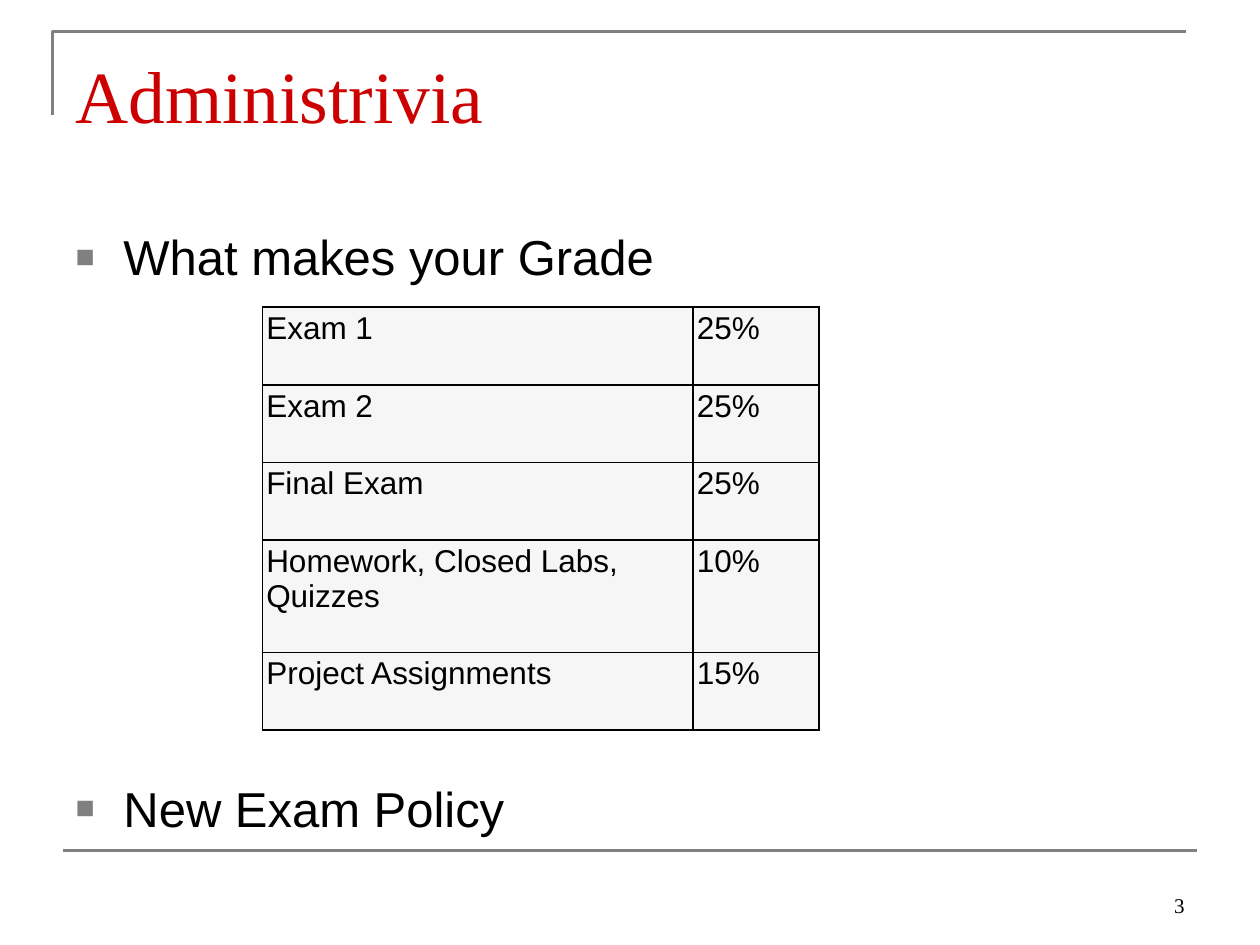
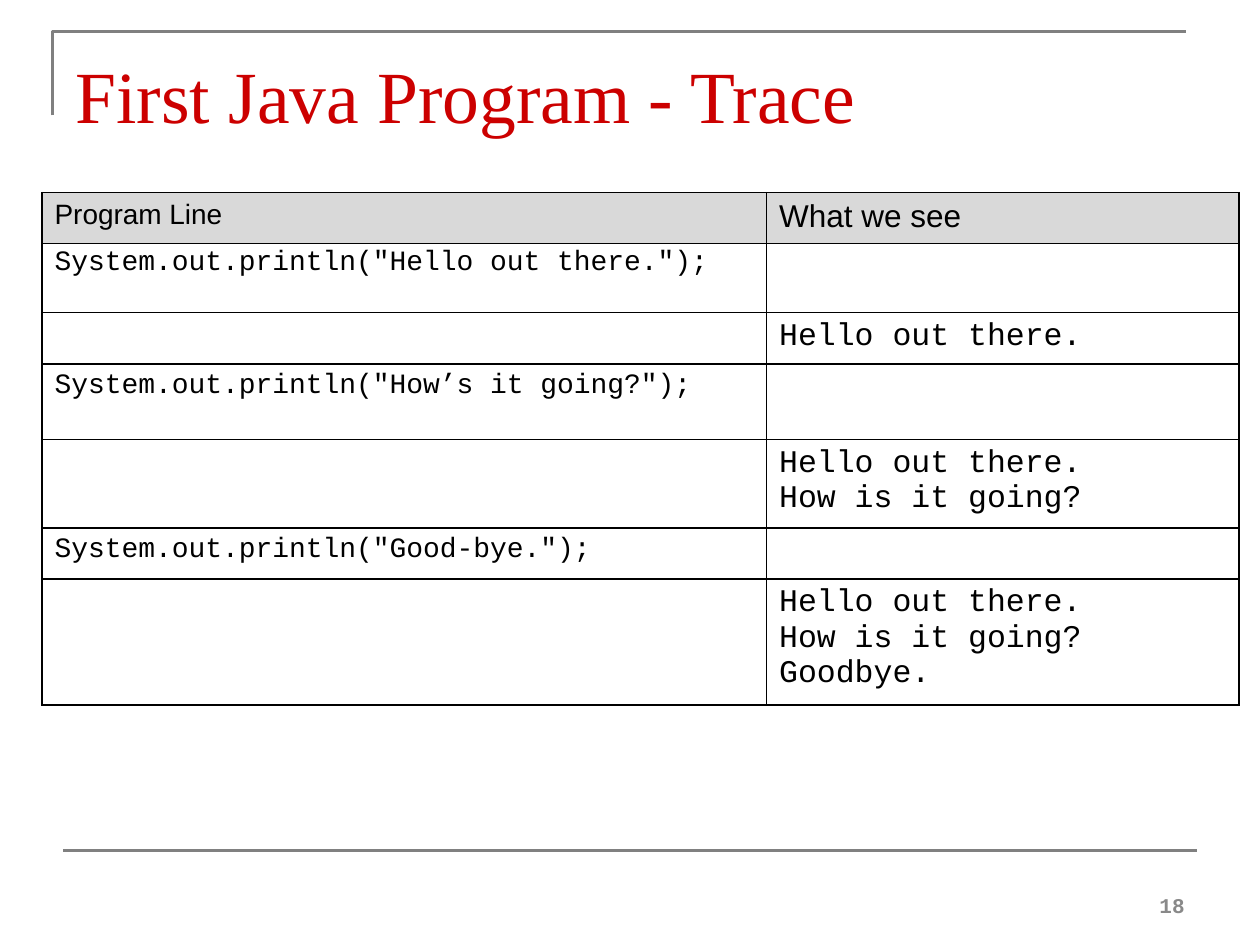
from dataclasses import dataclass

from lxml import etree
from pptx import Presentation
from pptx import util as u
from pptx.dml.color import RGBColor
from pptx.enum import shapes, text
from pptx.oxml import ns

CELL = u.Inches(1) // 12


@dataclass(frozen=True)
class Theme:
    """Colours, fonts and type sizes of the deck."""
    title: str = "CC0000"
    ink: str = "000000"
    rule: str = "808080"
    faded: str = "898989"
    header: str = "D9D9D9"
    panel: str = "F6F6F6"
    paper: str = "FFFFFF"
    serif: str = "Times New Roman"
    sans: str = "Arial"
    mono: str = "Courier New"
    title_size: float = 42
    body_size: float = 28
    table_size: float = 18
    code_size: float = 16
    number_size: float = 12
    rule_width: float = 1.5
    border_width: float = 1


@dataclass(frozen=True)
class Box:
    """An area measured in cells of a 120 by 90 grid."""
    left: float
    top: float
    width: float
    height: float

    def lengths(self):
        """Return left, top, width and height as slide lengths."""
        return [grid(value) for value in (self.left, self.top, self.width, self.height)]


THEME = Theme()
FRAME = Box(5, 3, 108, 8)
TITLE = Box(6, 3.6, 108, 15)
BODY = Box(6, 21, 108, 59.4)
FOOTER = Box(6, 81, 108, 7)
GRADES = Box(25, 29.25, 53, 40.3)
TRACE = Box(4, 18.35, 114, 47.8)


def grid(cells):
    """Turn grid cells into a slide length."""
    return u.Emu(round(cells * CELL))


def style(font, name, size, color=THEME.ink, bold=False):
    """Set the look of a font."""
    font.name, font.size, font.bold = name, u.Pt(size), bold
    font.color.rgb = RGBColor.from_string(color)


def element(parent, tag, **attributes):
    """Append a drawing element."""
    return etree.SubElement(parent, ns.qn(f"a:{tag}"), **attributes)


def draw_rule(line):
    """Give a line the grey of the page rules."""
    line.color.rgb = RGBColor.from_string(THEME.rule)
    line.width = u.Pt(THEME.rule_width)


def place(shape, box):
    """Move a shape to a box."""
    shape.left, shape.top, shape.width, shape.height = box.lengths()


def add_frame(page, box):
    """Draw the corner rule above the title."""
    builder = page.shapes.build_freeform(box.left, box.top + box.height, scale=CELL)
    builder.add_line_segments(
        [(box.left, box.top), (box.left + box.width, box.top)], close=False)
    corner = builder.convert_to_shape()
    corner.fill.background()
    corner.shadow.inherit = False
    draw_rule(corner.line)


def add_footer(page, box, number, **look):
    """Draw the bottom rule and the page number under its right end."""
    left, top, width, height = box.lengths()
    rule = page.shapes.add_connector(
        shapes.MSO_CONNECTOR.STRAIGHT, left, top, left + width, top)
    draw_rule(rule.line)
    element(rule._element.spPr, "effectLst")
    label = page.shapes.add_textbox(
        left + grid(box.width - 28), top + grid(1), grid(28), grid(box.height - 1))
    frame = label.text_frame
    frame.word_wrap = True
    frame.vertical_anchor = text.MSO_ANCHOR.BOTTOM
    para = frame.paragraphs[0]
    para.text = number
    para.alignment = text.PP_ALIGN.RIGHT
    style(para.font, size=THEME.number_size, **look)


def fill_title(page, box, words):
    """Place and format the title placeholder."""
    place(page.shapes.title, box)
    frame = page.shapes.title.text_frame
    frame.text = words
    frame.auto_size = text.MSO_AUTO_SIZE.NONE
    frame.vertical_anchor = text.MSO_ANCHOR.TOP
    frame.margin_top = u.Inches(0.1)
    para = frame.paragraphs[0]
    para.alignment = text.PP_ALIGN.LEFT
    style(para.font, THEME.serif, THEME.title_size, THEME.title)


def fill_body(page, box, items):
    """Fill the body placeholder with bullets and their space before in points."""
    body = page.placeholders[1]
    place(body, box)
    frame = body.text_frame
    frame.text = "\n".join(words for words, _ in items)
    frame.auto_size = text.MSO_AUTO_SIZE.NONE
    for para, (_, gap) in zip(frame.paragraphs, items):
        para.space_before = u.Pt(gap)
        properties = para._p.get_or_add_pPr()
        indent = u.Inches(0.38)
        properties.set("marL", str(indent))
        properties.set("indent", str(-indent))
        element(element(properties, "buClr"), "srgbClr", val=THEME.rule)
        element(properties, "buSzPct", val="65000")
        element(properties, "buFont", typeface=THEME.sans)
        element(properties, "buChar", char="■")
        style(para.font, THEME.sans, THEME.body_size)


def add_borders(cell):
    """Draw a thin line on each side of a cell."""
    properties = cell._tc.get_or_add_tcPr()
    for side in ("lnL", "lnR", "lnT", "lnB"):
        line = element(properties, side, w=str(u.Pt(THEME.border_width)))
        element(element(line, "solidFill"), "srgbClr", val=THEME.ink)


def add_grid_table(page, box, columns, heights, rows, look, margin=None):
    """Add a bordered table; look gives fill, font and size for a row and column."""
    table = page.shapes.add_table(len(rows), len(columns), *box.lengths()).table
    table.first_row = table.horz_banding = False
    for column, width in zip(table.columns, columns):
        column.width = grid(width)
    for r, (height, words) in enumerate(zip(heights, rows)):
        table.rows[r].height = grid(height)
        for c, content in enumerate(words):
            cell = table.cell(r, c)
            cell.text = content
            add_borders(cell)
            fill, font, size = look(r, c)
            cell.fill.solid()
            cell.fill.fore_color.rgb = RGBColor.from_string(fill)
            if margin is not None:
                cell.margin_left = cell.margin_right = margin
                cell.margin_top = cell.margin_bottom = margin
            for para in cell.text_frame.paragraphs:
                style(para.font, font, size)
    return table


def grade_look(row, column):
    """Return the look of a grade cell."""
    return THEME.panel, THEME.sans, THEME.table_size


def trace_look(row, column):
    """Return the look of a trace cell."""
    size = THEME.table_size if column else THEME.code_size
    if row == 0:
        return THEME.header, THEME.sans, size
    return THEME.paper, THEME.mono, size


def add_page(deck, layout, title):
    """Add a slide with the shared frame and title."""
    page = deck.slides.add_slide(deck.slide_layouts[layout])
    add_frame(page, FRAME)
    fill_title(page, TITLE, title)
    return page


def add_grades_page(deck):
    """Build the slide on grading."""
    page = add_page(deck, 1, "Administrivia")
    fill_body(page, BODY, [("What makes your Grade", 5), ("New Exam Policy", 281.5)])
    add_footer(page, FOOTER, "3", name=THEME.serif)
    rows = [
        ("Exam 1", "25%"),
        ("Exam 2", "25%"),
        ("Final Exam", "25%"),
        ("Homework, Closed Labs, Quizzes", "10%"),
        ("Project Assignments", "15%"),
    ]
    heights = [7.4, 7.4, 7.4, 10.7, 7.4]
    add_grid_table(page, GRADES, [41, 12], heights, rows, grade_look, u.Inches(0.03))


def add_trace_page(deck):
    """Build the slide that traces the program."""
    page = add_page(deck, 5, "First Java Program - Trace")
    add_footer(page, FOOTER, "18", name=THEME.mono, color=THEME.faded, bold=True)
    seen = ["Hello out there.", "How is it going?", "Goodbye."]
    spoken = ["Hello out there.", "How’s it going?", "Good-bye."]
    rows = [("Program Line", "What we see")]
    for step, words in enumerate(spoken, 1):
        rows.append((f'System.out.println("{words}");', ""))
        rows.append(("", "\n".join(seen[:step])))
    heights = [4.86, 6.57, 4.9, 7.2, 8, 4.86, 11.4]
    table = add_grid_table(page, TRACE, [69, 45], heights, rows, trace_look)
    table.cell(1, 0).text_frame.paragraphs[0].line_spacing = 0.8


def main():
    """Build and save the deck."""
    deck = Presentation()
    deck.slide_width, deck.slide_height = grid(120), grid(90)
    add_grades_page(deck)
    add_trace_page(deck)
    deck.save("out.pptx")


if __name__ == "__main__":
    main()
